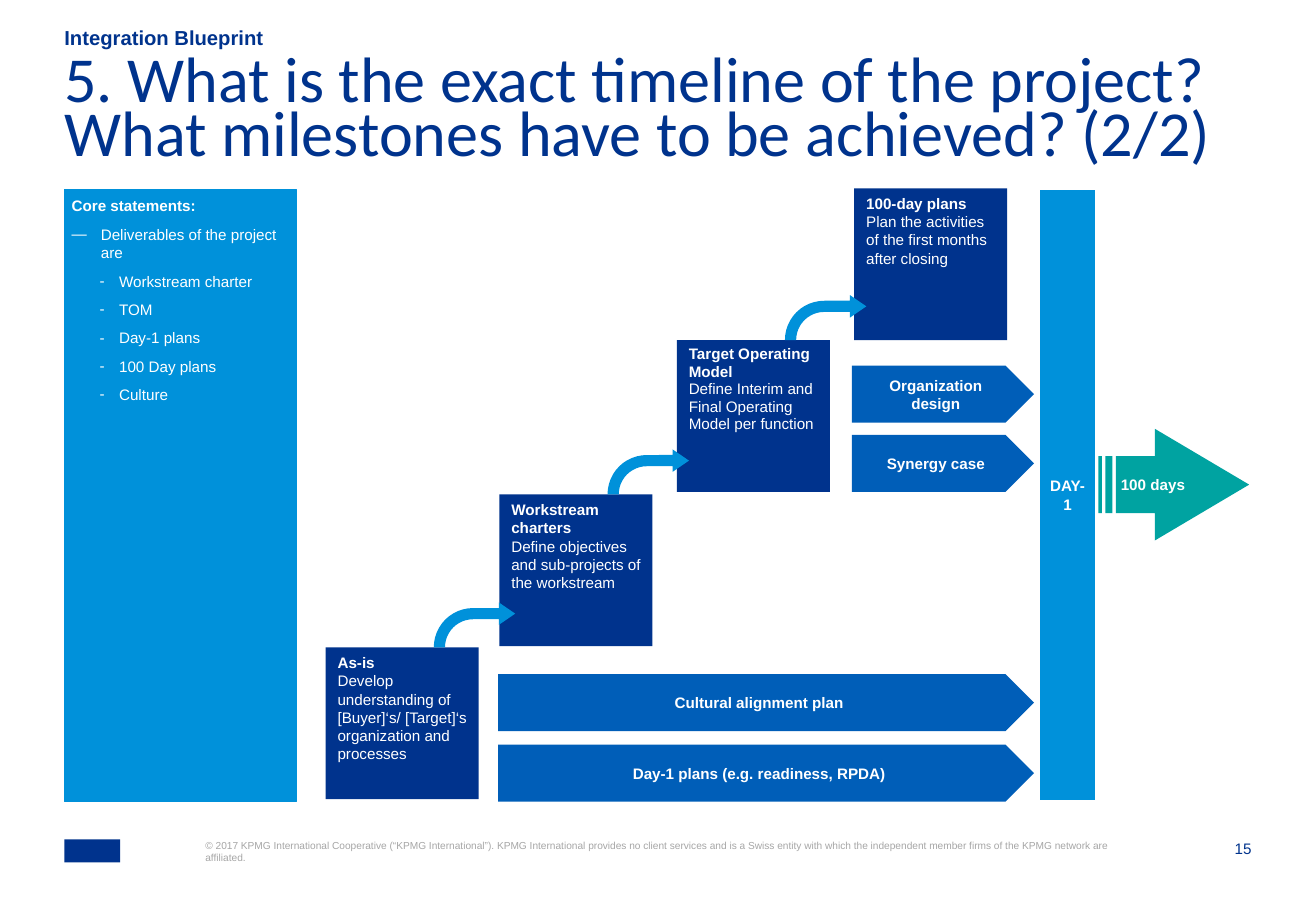
import pptx
import pptx.util
import pptx.dml.color
import pptx.enum.shapes
import pptx.enum.text
import pptx.oxml.ns
import lxml.etree

Inches = pptx.util.Inches
Pt = pptx.util.Pt
SHAPE = pptx.enum.shapes.MSO_SHAPE
ALIGN = pptx.enum.text.PP_ALIGN
ANCHOR = pptx.enum.text.MSO_ANCHOR
qn = pptx.oxml.ns.qn

COLORS = {
    "navy": "00338D",
    "blue": "005EB8",
    "light": "0091DA",
    "teal": "00A3A1",
    "white": "FFFFFF",
    "grey": "A6A6A6",
}
BOLD = {"name": "Arial", "size": Pt(9), "bold": True}
PLAIN = {**BOLD, "bold": False}
NO_INSETS = (0, 0, 0, 0)
SHAPE_INSETS = (0.1, 0.05, 0.1, 0.05)

DELIVERABLES = ["Workstream charter", "TOM", "Day-1 plans", "100 Day plans", "Culture"]
STEPS = [
    (0, 3.78, "As-is",
     "Develop understanding of [Buyer]‘s/ [Target]‘s organization and processes", 1),
    (1.43, 2.52, "Workstream charters",
     "Define objectives and sub-projects of the workstream", 1),
    (2.89, 1.25, "Target Operating Model",
     "Define Interim and Final Operating Model per function", 0.95),
    (4.35, 0, "100-day plans",
     "Plan the activities of the first months after closing", 1),
]
PLANS = [
    (4.33, 1.46, "Organization design"),
    (4.33, 2.03, "Synergy case"),
    (1.42, 4, "Cultural alignment plan"),
    (1.42, 4.58, "Day-1 plans (e.g. readiness, RPDA)"),
]


def rgb(name):
    return pptx.dml.color.RGBColor.from_string(COLORS[name])


def set_attrs(obj, values):
    for name, value in values.items():
        setattr(obj, name, value)


def place(sp, box):
    set_attrs(sp, dict(zip(("left", "top", "width", "height"), map(Inches, box))))


def set_frame(sp, insets, anchor=ANCHOR.TOP, wrap=True):
    tf = sp.text_frame
    sides = ("margin_left", "margin_top", "margin_right", "margin_bottom")
    set_attrs(tf, dict(zip(sides, map(Inches, insets))))
    set_attrs(tf, {"auto_size": pptx.enum.text.MSO_AUTO_SIZE.NONE,
                   "vertical_anchor": anchor, "word_wrap": wrap})
    return tf


def write(tf, text, font, color, first=True, **para):
    p = tf.paragraphs[0] if first else tf.add_paragraph()
    set_attrs(p, {"alignment": ALIGN.LEFT, "space_before": Pt(0), **para})
    r = p.add_run()
    r.text = text
    set_attrs(r.font, font)
    r.font.color.rgb = rgb(color)
    return p


def set_bullet(p, char=None, margin=0, hanging=0):
    pPr = p._p.get_or_add_pPr()
    pPr.set("marL", str(Inches(margin)))
    pPr.set("indent", str(-Inches(hanging)))
    if char is None:
        lxml.etree.SubElement(pPr, qn("a:buNone"))
        return
    buClr = lxml.etree.SubElement(pPr, qn("a:buClr"))
    lxml.etree.SubElement(buClr, qn("a:srgbClr")).set("val", COLORS["white"])
    lxml.etree.SubElement(pPr, qn("a:buChar")).set("char", char)


def add_shape(s, kind, box, color, adjustments=()):
    sp = s.shapes.add_shape(kind, *map(Inches, box))
    sp.shadow.inherit = False
    sp.fill.solid()
    sp.fill.fore_color.rgb = rgb(color)
    sp.line.fill.background()
    for i, value in enumerate(adjustments):
        sp.adjustments[i] = value
    return sp


def add_text(s, box, text, size, color, align=ALIGN.LEFT):
    sp = s.shapes.add_textbox(*map(Inches, box))
    tf = set_frame(sp, NO_INSETS)
    write(tf, text, {"name": "Arial", "size": Pt(size)}, color, alignment=align)


def header(s, x, y, w):
    title = s.shapes.title
    place(title, (x, y + 0.27, w, 0.79))
    write(set_frame(title, NO_INSETS),
          "5. What is the exact timeline of the project? What milestones have to be achieved? (2/2)",
          {"name": "Calibri", "size": Pt(38)}, "navy", line_spacing=0.7)
    topic = s.placeholders[2]
    place(topic, (x, y, w - 0.35, 0.19))
    p = write(set_frame(topic, NO_INSETS, ANCHOR.BOTTOM), "Integration Blueprint",
              {**BOLD, "size": Pt(12)}, "navy")
    set_bullet(p)


def core_statements(s, x, y, w, h):
    sp = s.placeholders[1]
    place(sp, (x, y, w, h))
    sp.fill.solid()
    sp.fill.fore_color.rgb = rgb("light")
    sp.line.color.rgb = rgb("light")
    sp.line.width = Pt(0.75)
    tf = set_frame(sp, (0.06, 0.06, 0.06, 0.06))
    gap = {"space_after": Pt(6)}
    set_bullet(write(tf, "Core statements:", BOLD, "white", **gap))
    set_bullet(write(tf, "Deliverables of the project are", PLAIN, "white", False, level=1, **gap),
               "—", 0.24, 0.24)
    for item in DELIVERABLES:
        set_bullet(write(tf, item, PLAIN, "white", False, level=2, **gap), "-", 0.39, 0.16)


def staircase(s, x, y):
    for dx, dy, name, detail, spacing in STEPS:
        sp = add_shape(s, SHAPE.RECTANGLE, (x + dx, y + dy, 1.26, 1.25), "navy")
        tf = set_frame(sp, SHAPE_INSETS)
        write(tf, name, BOLD, "white", line_spacing=spacing)
        write(tf, detail, PLAIN, "white", False, line_spacing=spacing)
    for dx, dy, *_ in STEPS[:-1]:
        add_shape(s, SHAPE.BENT_ARROW, (x + dx + 0.89, y + dy - 0.37, 0.67, 0.37),
                  "light", (0.25, 0.25, 0.363, 0.875))


def plans(s, x, y, w):
    for dx, dy, name in PLANS:
        sp = add_shape(s, SHAPE.PENTAGON, (x + dx, y + dy, w - dx, 0.47), "blue", (0.5,))
        write(set_frame(sp, SHAPE_INSETS, ANCHOR.MIDDLE), name, BOLD, "white",
              alignment=ALIGN.CENTER)


def day_one(s, x, y, h):
    bar = add_shape(s, SHAPE.ROUNDED_RECTANGLE, (x, y, 0.47, h), "light", (0,))
    bar.line.color.rgb = rgb("white")
    bar.line.width = Pt(1.5)
    tf = set_frame(bar, (0.07, 0, 0.07, 0), ANCHOR.MIDDLE, False)
    for i, text in enumerate(("DAY-", "1")):
        write(tf, text, BOLD, "white", i == 0, alignment=ALIGN.CENTER)
    arrow = add_shape(s, SHAPE.STRIPED_RIGHT_ARROW, (x + 0.49, y + 1.98, 1.24, 0.92),
                      "teal", (0.508, 0.844))
    write(set_frame(arrow, (0.04, 0.05, 0.04, 0.05), ANCHOR.MIDDLE), "100 days", BOLD, "white")


def footer(s, x, y, w):
    add_shape(s, SHAPE.RECTANGLE, (x, y, 0.46, 0.19), "navy")
    add_text(s, (x + 1.16, y, 7.49, 0.41),
             "© 2017 KPMG International Cooperative (“KPMG International”). KPMG International "
             "provides no client services and is a Swiss entity with which the independent "
             "member firms of the KPMG network are affiliated.", 6, "grey")
    add_text(s, (x + w - 0.43, y, 0.43, 0.16), "15", 9, "navy", ALIGN.RIGHT)


def main():
    prs = pptx.Presentation()
    prs.slide_width, prs.slide_height = Inches(10.83), Inches(7.5)
    s = prs.slides.add_slide(prs.slide_layouts[3])
    header(s, 0.53, 0.22, 9.75)
    core_statements(s, 0.53, 1.56, 1.91, 5.04)
    plans(s, 2.68, 1.55, 5.83)
    day_one(s, 8.55, 1.55, 5.05)
    staircase(s, 2.68, 1.55)
    footer(s, 0.53, 6.91, 9.77)
    prs.save("out.pptx")


if __name__ == "__main__":
    main()
